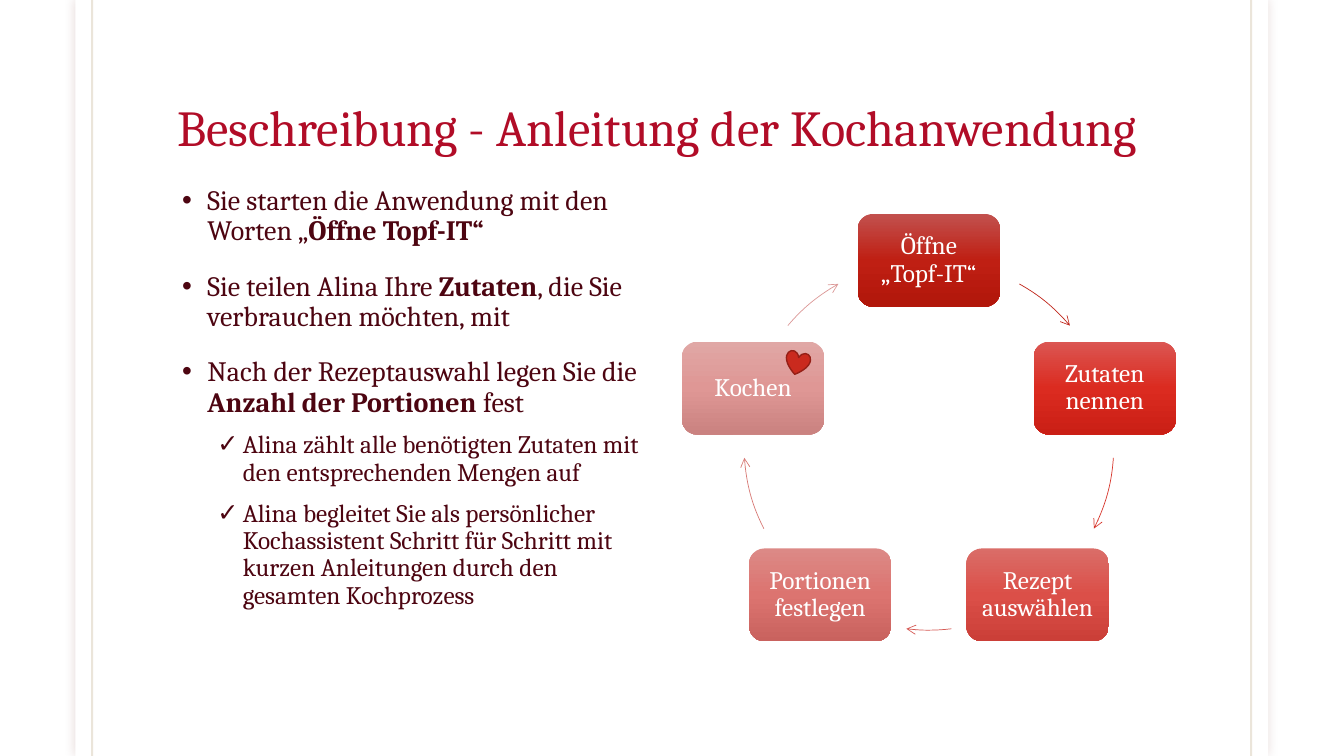
"""Build the slide on using the cooking app: steps on the left, cycle on the right."""
import copy
import math
from lxml import etree
from pptx import Presentation
from pptx import util as u
from pptx.dml.color import RGBColor
from pptx.enum import shapes, text
from pptx.oxml import ns

hues = {
    "paper": "FFFFFF", "shade": "65150F", "rule": "79540B",
    "title": "B10C27", "body": "4D0511", "heart": "CA2A1E", "edge": "951F16",
}
font = "Cambria"
kinds = shapes.MSO_SHAPE


def add(node, tag, **attrs):
    """Append a drawing element and return it."""
    return etree.SubElement(node, ns.qn("a:" + tag), attrs)


def style(para, size, hue, gap=0.9):
    """Set the font and line spacing of a paragraph."""
    para.line_spacing = gap
    para.font.name, para.font.size = font, u.Pt(size)
    para.font.color.rgb = RGBColor.from_string(hue)


deck = Presentation()
deck.slide_width, deck.slide_height = u.Cm(33.87), u.Cm(19.05)
slide = deck.slides.add_slide(deck.slide_layouts[6])
parts = slide.shapes

page = parts.add_shape(kinds.RECTANGLE, u.Cm(1.9), 0, u.Cm(30.06), u.Cm(19.05))
page.fill.solid()
page.fill.fore_color.rgb = RGBColor.from_string(hues["paper"])
page.line.fill.background()
page.shadow.inherit = False
glow = add(page._element.spPr.find(ns.qn("a:effectLst")), "outerShdw",
           blurRad=str(u.Pt(7)), dist="0", algn="ctr", rotWithShape="0")
add(add(glow, "srgbClr", val=hues["shade"]), "alpha", val="15000")

for x in (2.32, 31.53):
    rule = parts.add_connector(shapes.MSO_CONNECTOR.STRAIGHT, u.Cm(x), 0, u.Cm(x), u.Cm(19.05))
    rule.line.width = u.Pt(1.5)
    rule.line.color.rgb = RGBColor.from_string(hues["rule"])
    add(rule._element.spPr.find(".//" + ns.qn("a:srgbClr")), "alpha", val="15000")
    add(rule._element.spPr, "effectLst")

head = parts.add_textbox(u.Cm(4.22), u.Cm(0.89), u.Cm(25.7), u.Cm(3.18)).text_frame
head.word_wrap = True
head.vertical_anchor = text.MSO_ANCHOR.BOTTOM
head.text = "Beschreibung - Anleitung der Kochanwendung"
style(head.paragraphs[0], 36, hues["title"], 0.85)

steps = [
    (0, "Sie starten die Anwendung mit den Worten „*Öffne Topf-IT“"),
    (0, "Sie teilen Alina Ihre *Zutaten*, die Sie verbrauchen möchten, mit"),
    (0, "Nach der Rezeptauswahl legen Sie die *Anzahl der Portionen *fest"),
    (1, "Alina zählt alle benötigten Zutaten mit den entsprechenden Mengen auf"),
    (1, "Alina begleitet Sie als persönlicher Kochassistent Schritt für Schritt mit "
        "kurzen Anleitungen durch den gesamten Kochprozess"),
]
levels = [("•", 0.76, 18, 20), ("✓", 1.65, 10, 18)]
body = parts.add_textbox(u.Cm(4.22), u.Cm(4.57), u.Cm(12.45), u.Cm(12.57)).text_frame
body.word_wrap = True
for i, (level, words) in enumerate(steps):
    mark, left, space, size = levels[level]
    para = body.paragraphs[0] if i == 0 else body.add_paragraph()
    para.level = level
    props = para._p.get_or_add_pPr()
    props.set("marL", str(u.Cm(left)))
    props.set("indent", str(u.Cm(-0.64)))
    add(add(props, "buClr"), "srgbClr", val=hues["body"])
    add(props, "buFont", typeface="Arial")
    add(props, "buChar", char=mark)
    style(para, size, hues["body"])
    para.space_before = u.Pt(space)
    for j, piece in enumerate(words.split("*")):
        run = para.add_run()
        run.text = piece
        if j % 2:
            run.font.bold = True

cycle = [
    ("Öffne „Topf-IT“", ("C2514E", "BF1F13", "B1160A"), "C1281D", (299.3, 319.7)),
    ("Zutaten nennen", ("DB5652", "DB2B20", "CA1F15"), "D7362C", (3.9, 26.8)),
    ("Rezept auswählen", ("DA6D68", "DB4F48", "CB3F38"), "D65953", (83, 97)),
    ("Portionen festlegen", ("DC8986", "DC7470", "C9625E"), "D87A76", (153.2, 176.1)),
    ("Kochen", ("E0A7A5", "DF9795", "CA8280"), "DC9998", (220.3, 240.7)),
]
midx, midy, rad = 23.41, 11.22, 4.66
wide, high = 3.59, 2.34
for i, (words, tints, hue, span) in enumerate(cycle):
    turn = math.radians(72 * i - 90)
    x = midx + rad * math.cos(turn) - wide / 2
    y = midy + rad * math.sin(turn) - high / 2
    box = parts.add_shape(kinds.ROUNDED_RECTANGLE, u.Cm(x), u.Cm(y), u.Cm(wide), u.Cm(high))
    box.shadow.inherit = False
    box.line.fill.background()
    box.fill.gradient()
    box.fill.gradient_angle = 270
    stops = box._element.spPr.find(ns.qn("a:gradFill")).find(ns.qn("a:gsLst"))
    stops.insert(1, copy.deepcopy(stops[0]))
    for stop, tint, place in zip(box.fill.gradient_stops, tints, (0, 0.5, 1)):
        stop.color.rgb = RGBColor.from_string(tint)
        stop.position = place
    frame = box.text_frame
    frame.word_wrap = True
    frame.vertical_anchor = text.MSO_ANCHOR.MIDDLE
    frame.margin_left = frame.margin_right = u.Cm(0.18)
    frame.margin_top = frame.margin_bottom = u.Cm(0.18)
    frame.text = words
    frame.paragraphs[0].alignment = text.PP_ALIGN.CENTER
    style(frame.paragraphs[0], 18, hues["paper"])

    arc = parts.add_shape(kinds.ARC, u.Cm(midx - rad), u.Cm(midy - rad),
                          u.Cm(2 * rad), u.Cm(2 * rad))
    arc.shadow.inherit = False
    arc.fill.background()
    for j, angle in enumerate(span):
        arc.adjustments[j] = angle * 0.6
    arc.line.width = u.Pt(0.5)
    arc.line.color.rgb = RGBColor.from_string(hue)
    add(arc._element.spPr.find(ns.qn("a:ln")), "tailEnd", type="arrow")

heart = parts.add_shape(kinds.HEART, u.Cm(19.79), u.Cm(8.86), u.Cm(0.61), u.Cm(0.58))
heart.rotation = 13.3
heart.shadow.inherit = False
heart.fill.solid()
heart.fill.fore_color.rgb = RGBColor.from_string(hues["heart"])
heart.line.width = u.Pt(1)
heart.line.color.rgb = RGBColor.from_string(hues["edge"])

deck.save("out.pptx")
